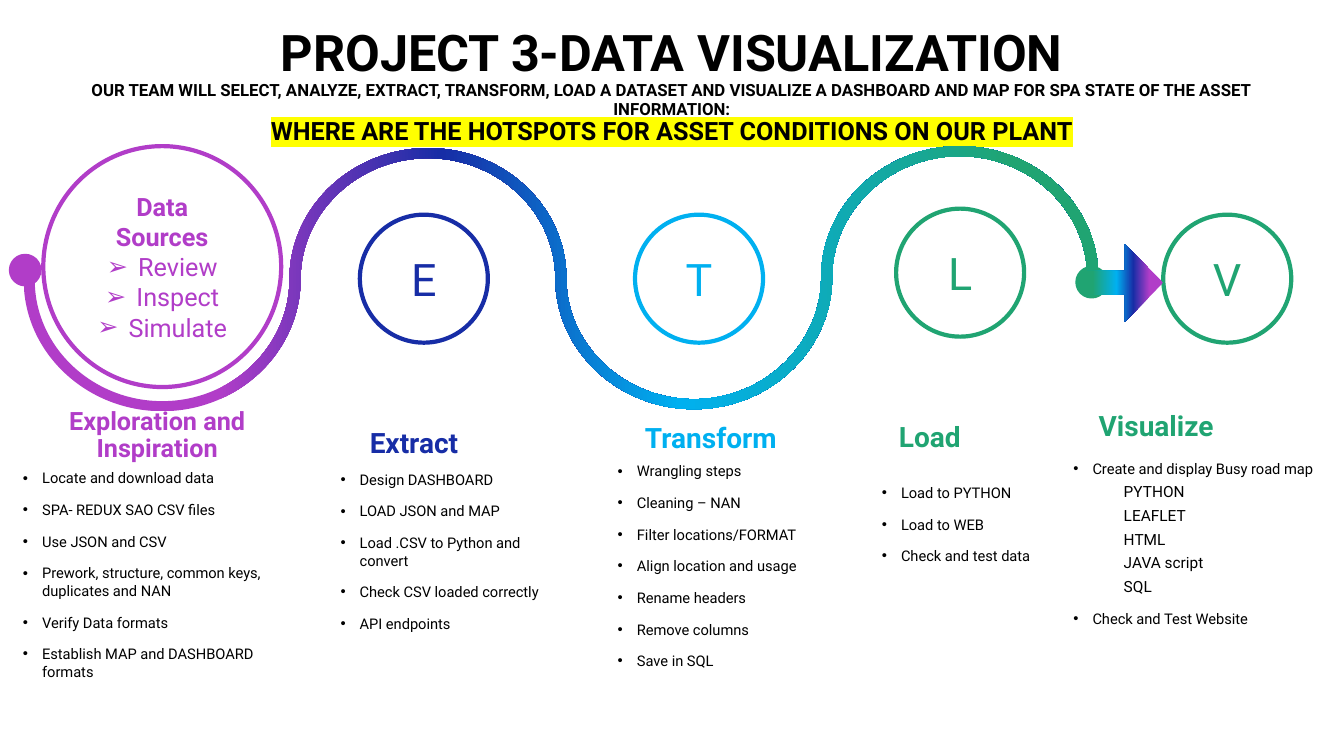
import pptx
import pptx.dml.color
import pptx.enum.shapes
import pptx.enum.text
import pptx.oxml.ns
import pptx.util
from lxml import etree

ALIGN = pptx.enum.text.PP_ALIGN
SHAPE = pptx.enum.shapes.MSO_SHAPE

THEME = {
    "font": "Roboto",
    "purple": "B13DC8", "navy": "172DA6", "sky": "00B0F0", "green": "20A472",
    "black": "000000", "white": "FFFFFF", "highlight": "FFFF00",
    "title": 36, "subtitle": 12, "question": 18, "letter": 32,
    "source": 18, "heading": 20, "long_heading": 18, "item": 10.5, "tool": 11,
    "outline": 3, "dot_outline": 6,
}
GRADIENT = [(18, "purple"), (39, "navy"), (61, "sky"), (92, "green")]
SLIDE_COLUMNS, SLIDE_ROWS, CELL = 133.33, 75, 0.1

TITLE_AREA = (2.5, 2.27, 128.3, 10.3)
TITLE_LINES = [
    ("PROJECT 3-DATA VISUALIZATION", "title"),
    ("OUR TEAM WILL SELECT, ANALYZE, EXTRACT, TRANSFORM, LOAD A DATASET AND VISUALIZE "
     "A DASHBOARD AND MAP FOR SPA STATE OF THE ASSET INFORMATION:", "subtitle"),
    ("WHERE ARE THE HOTSPOTS FOR ASSET CONDITIONS ON OUR PLANT", "question"),
]
SOURCES = [("Data Sources", "source_title"), ("Review", "source"),
           ("Inspect", "source"), ("Simulate", "source")]
STAGES = [
    {"color": "purple", "circle": (4.3, 14.5, 23.6, 23.9), "label": SOURCES,
     "heading": ("Exploration and Inspiration", "long_heading"),
     "heading_area": (4.3, 40.04, 22.6, 3.3), "list_area": (1.3, 46.07, 27.7, 7.7),
     "items": ["Locate and download data", "SPA- REDUX SAO CSV files", "Use JSON and CSV",
               "Prework, structure, common keys, duplicates and NAN",
               "Verify Data formats", "Establish MAP and DASHBOARD formats"]},
    {"color": "navy", "circle": (35.7, 21.3, 12.7, 12.7), "label": [("E", "letter")],
     "heading": ("Extract", "heading"),
     "heading_area": (35.7, 42.1, 19.6, 3.3), "list_area": (32.8, 46.2, 23.4, 7.7),
     "items": ["Design DASHBOARD", "LOAD JSON and MAP", "Load .CSV to Python and convert",
               "Check CSV loaded correctly", "API endpoints"]},
    {"color": "sky", "circle": (63, 21.3, 12.7, 12.7), "label": [("T", "letter")],
     "heading": ("Transform", "heading"),
     "heading_area": (63, 41.6, 19.6, 3.3), "list_area": (60.3, 45.37, 24.5, 7.7),
     "items": ["Wrangling steps", "Cleaning – NAN", "Filter locations/FORMAT",
               "Align location and usage", "Rename headers", "Remove columns", "Save in SQL"]},
    {"color": "green", "circle": (88.9, 20.7, 12.7, 12.7), "label": [("L", "letter")],
     "heading": ("Load", "heading"),
     "heading_area": (88.2, 41.5, 19.6, 3.3), "list_area": (86.5, 47.5, 19.8, 7.7),
     "items": ["Load to PYTHON", "Load to WEB", "Check and test data"]},
    {"color": "green", "circle": (115.4, 21.3, 12.7, 12.7), "label": [("V", "letter")],
     "heading": ("Visualize", "heading"),
     "heading_area": (108, 40.4, 26.8, 3.3), "list_area": (105.5, 45.14, 27, 7.7),
     "items": ["Create and display Busy road map",
               ["PYTHON", "LEAFLET", "HTML", "JAVA script", "SQL"],
               "Check and Test Website"]},
]
DOTS = [("purple", (1.3, 25.6, 2.4, 2.4)), ("green", (107.1, 26.8, 2.4, 2.4))]
ARROW = {"area": (107.8, 24.2, 7.6, 7.7), "adjustments": (0.303, 0.5)}
WAVE = {"center": (16.1, 27.8), "step": (26.37, -0.1), "arcs": 4, "roundness": 0.55,
        "outer": (13.75, 13), "inner": (12.65, 12)}

STYLES = {
    "letter": {"size": "letter", "paragraph": {"alignment": ALIGN.CENTER}},
    "source_title": {"size": "source", "bold": True, "paragraph": {"alignment": ALIGN.CENTER}},
    "source": {"size": "source", "bullet": ("➢", 0.31), "paragraph": {"alignment": ALIGN.CENTER}},
    "heading": {"size": "heading", "bold": True,
                "paragraph": {"line_spacing": 0.9, "space_before": pptx.util.Pt(10)}},
    "long_heading": {"size": "long_heading", "bold": True,
                     "paragraph": {"alignment": ALIGN.CENTER, "line_spacing": 0.9,
                                   "space_before": pptx.util.Pt(10)}},
    "item": {"size": "item", "bullet": ("•", 0.19),
             "paragraph": {"space_before": pptx.util.Pt(10)}},
    "tool": {"size": "tool", "margin": 0.5,
             "paragraph": {"line_spacing": 0.9, "space_before": pptx.util.Pt(5)}},
}


def cells(*counts):
    return [pptx.util.Inches(count * CELL) for count in counts]


def color(name):
    return pptx.dml.color.RGBColor.from_string(THEME[name])


def assign(target, values):
    for name, value in values.items():
        setattr(target, name, value)


def add_element(parent, tag, **attributes):
    return etree.SubElement(parent, pptx.oxml.ns.qn(tag), **attributes)


def format_run(run, size, color_name, bold=False):
    assign(run.font, {"name": THEME["font"], "size": pptx.util.Pt(THEME[size]), "bold": bold})
    run.font.color.rgb = color(color_name)


def write_lines(text_frame, lines, color_name):
    text_frame.word_wrap = True
    for index, (text, style_name) in enumerate(lines):
        paragraph = text_frame.add_paragraph() if index else text_frame.paragraphs[0]
        style = STYLES[style_name]
        assign(paragraph, style["paragraph"])
        run = paragraph.add_run()
        run.text = text
        format_run(run, style["size"], color_name, style.get("bold", False))
        properties = paragraph._p.get_or_add_pPr()
        if "bullet" in style:
            symbol, indent = style["bullet"]
            properties.set("marL", str(pptx.util.Inches(indent)))
            properties.set("indent", str(-pptx.util.Inches(indent)))
            add_element(properties, "a:buFont", typeface="Arial")
            add_element(properties, "a:buChar", char=symbol)
        elif "margin" in style:
            properties.set("marL", str(pptx.util.Inches(style["margin"])))


def add_text(slide, area, lines, color_name):
    write_lines(slide.shapes.add_textbox(*cells(*area)).text_frame, lines, color_name)


def add_circle(slide, area, fill, line, width):
    shape = slide.shapes.add_shape(SHAPE.OVAL, *cells(*area))
    shape.shadow.inherit = False
    shape.fill.solid()
    shape.fill.fore_color.rgb = color(fill)
    shape.line.color.rgb = color(line)
    shape.line.width = pptx.util.Pt(THEME[width])
    return shape


def fill_gradient(shape, angle):
    shape.shadow.inherit = False
    shape.line.fill.background()
    shape.fill.gradient()
    shape.fill.gradient_angle = angle
    stops = shape._element.spPr.find(".//" + pptx.oxml.ns.qn("a:gsLst"))
    for stop in list(stops):
        stops.remove(stop)
    for position, name in GRADIENT:
        stop = add_element(stops, "a:gs", pos=str(position * 1000))
        add_element(stop, "a:srgbClr", val=THEME[name])


def wave_edge(radii):
    points = []
    for arc in range(WAVE["arcs"]):
        x, y = (start + arc * step for start, step in zip(WAVE["center"], WAVE["step"]))
        radius_x, radius_y = WAVE[radii[arc % 2]]
        direction = -1 if arc % 2 else 1
        points += [cells(x - radius_x, y), cells(x, y + direction * radius_y)]
    return points + [cells(x + radius_x, y)]


def round_segment(segment, start, end, vertical_start):
    (x1, y1), (x2, y2), bend = start, end, WAVE["roundness"]
    if vertical_start:
        controls = [(x1, y1 + bend * (y2 - y1)), (x2 - bend * (x2 - x1), y2)]
    else:
        controls = [(x1 + bend * (x2 - x1), y1), (x2, y2 - bend * (y2 - y1))]
    curve = etree.Element(pptx.oxml.ns.qn("a:cubicBezTo"))
    for x, y in controls + [end]:
        add_element(curve, "a:pt", x=str(round(x)), y=str(round(y)))
    segment.getparent().replace(segment, curve)


def add_wave(slide):
    edge = wave_edge(("outer", "inner"))
    outline = edge + wave_edge(("inner", "outer"))[::-1]
    builder = slide.shapes.build_freeform(*outline[0])
    builder.add_line_segments(outline[1:], close=True)
    wave = builder.convert_to_shape()
    points = [(x - wave.left, y - wave.top) for x, y in outline]
    segments = list(wave._element.iter(pptx.oxml.ns.qn("a:lnTo")))
    for index, segment in enumerate(segments):
        place = index % len(edge)
        if place < len(edge) - 1:
            round_segment(segment, points[index], points[index + 1], place % 2 == 0)
    fill_gradient(wave, 0)


def add_title(slide):
    title = slide.shapes.title
    assign(title, dict(zip(("left", "top", "width", "height"), cells(*TITLE_AREA))))
    assign(title.text_frame, {"word_wrap": True, "auto_size": pptx.enum.text.MSO_AUTO_SIZE.NONE,
                              "vertical_anchor": pptx.enum.text.MSO_ANCHOR.TOP})
    paragraph = title.text_frame.paragraphs[0]
    assign(paragraph, STYLES["long_heading"]["paragraph"])
    for index, (text, size) in enumerate(TITLE_LINES):
        if index:
            paragraph.add_line_break()
        run = paragraph.add_run()
        run.text = text
        format_run(run, size, "black", True)
    highlight = etree.Element(pptx.oxml.ns.qn("a:highlight"))
    add_element(highlight, "a:srgbClr", val=THEME["highlight"])
    run.font._element.find(pptx.oxml.ns.qn("a:solidFill")).addnext(highlight)


def list_lines(items):
    for item in items:
        if isinstance(item, list):
            yield from ((tool, "tool") for tool in item)
        else:
            yield item, "item"


def main():
    presentation = pptx.Presentation()
    presentation.slide_width, presentation.slide_height = cells(SLIDE_COLUMNS, SLIDE_ROWS)
    slide = presentation.slides.add_slide(presentation.slide_layouts.get_by_name("Title Only"))
    add_title(slide)
    for stage in STAGES:
        circle = add_circle(slide, stage["circle"], "white", stage["color"], "outline")
        write_lines(circle.text_frame, stage["label"], stage["color"])
    add_wave(slide)
    for name, area in DOTS:
        add_circle(slide, area, name, name, "dot_outline")
    for stage in STAGES:
        add_text(slide, stage["heading_area"], [stage["heading"]], stage["color"])
        add_text(slide, stage["list_area"], list_lines(stage["items"]), "black")
    arrow = slide.shapes.add_shape(SHAPE.RIGHT_ARROW, *cells(*ARROW["area"]))
    for index, value in enumerate(ARROW["adjustments"]):
        arrow.adjustments[index] = value
    fill_gradient(arrow, 180)
    presentation.save("out.pptx")


if __name__ == "__main__":
    main()
